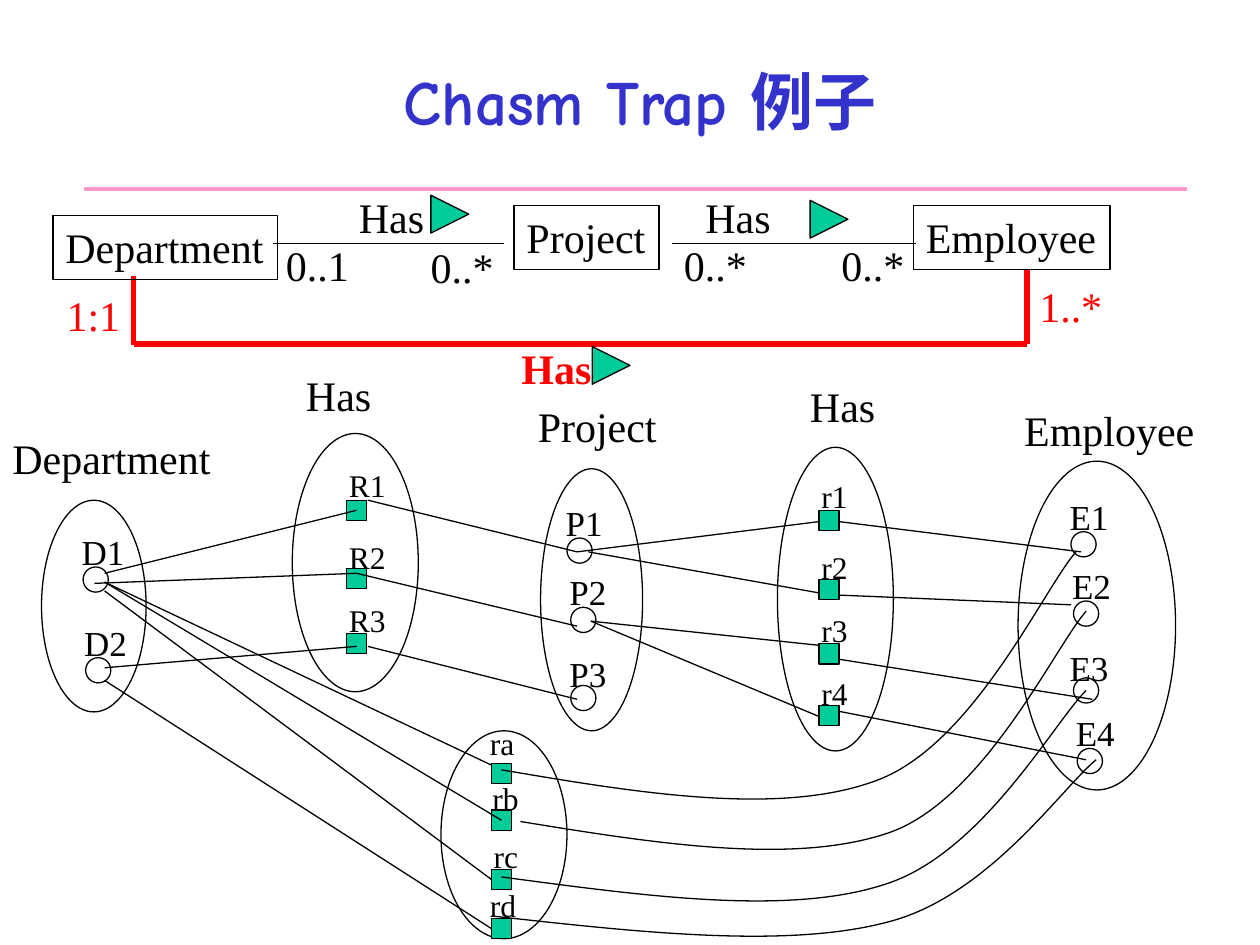
"""Builds the chasm trap example slide: an ER diagram above its occurrence diagram."""
from lxml import etree
from pptx import Presentation
from pptx.dml.color import RGBColor
from pptx.enum import shapes, text
from pptx.oxml.ns import qn
from pptx.util import Inches, Pt

BLACK = RGBColor(0, 0, 0)
RED = RGBColor(0xFF, 0, 0)
BLUE = RGBColor(0x33, 0x33, 0xCC)
PINK = RGBColor(0xFF, 0x99, 0xCC)
GREEN = RGBColor(0, 0xCC, 0x99)
SERIF = "Times New Roman"


def outline(shape, fill=None):
    shape.shadow.inherit = False
    shape.line.color.rgb = BLACK
    shape.line.width = Pt(0.75)
    if fill is None:
        shape.fill.background()
    else:
        shape.fill.solid()
        shape.fill.fore_color.rgb = fill


def write(shape, words, size, color=BLACK, bold=False):
    frame = shape.text_frame
    frame.word_wrap = False
    frame.auto_size = text.MSO_AUTO_SIZE.SHAPE_TO_FIT_TEXT
    frame.vertical_anchor = text.MSO_ANCHOR.TOP
    line = frame.paragraphs[0]
    line.text = words
    line.alignment = text.PP_ALIGN.LEFT
    line.font.name = SERIF
    line.font.size = Pt(size)
    line.font.bold = bold
    line.font.color.rgb = color


prs = Presentation()
prs.slide_width, prs.slide_height = Inches(10), Inches(7.5)
slide = prs.slides.add_slide(prs.slide_layouts[6])
canvas = slide.shapes

title = canvas.add_textbox(Inches(0.83), Inches(0.17), Inches(8.5), Inches(1.25)).text_frame
title.word_wrap = True
title.vertical_anchor = text.MSO_ANCHOR.MIDDLE
heading = title.paragraphs[0]
heading.alignment = text.PP_ALIGN.CENTER
heading.font.size = Pt(36)
heading.font.bold = True
heading.font.color.rgb = BLUE
for words, face in [("Chasm Trap ", "Comic Neue"), ("例子", "Noto Sans CJK SC")]:
    run = heading.add_run()
    run.text = words
    run.font.name = face
    etree.SubElement(run.font._element, qn("a:ea"), typeface=face)

sets = [
    (0.33, 3.97, 0.83, 1.68), (2.32, 3.44, 1, 2.05), (4.29, 3.72, 0.81, 2.08),
    (6.17, 3.55, 0.92, 2.41), (8.08, 3.66, 1.25, 2.61), (3.5, 5.8, 1, 1.65),
]
members = [
    (0.66, 4.5), (0.68, 5.22),
    (4.5, 4.27), (4.53, 4.82), (4.53, 5.44),
    (8.5, 4.22), (8.52, 4.77), (8.52, 5.38), (8.55, 5.94),
]
for left, top, width, height in sets + [(x, y, 0.2, 0.2) for x, y in members]:
    outline(canvas.add_shape(shapes.MSO_SHAPE.OVAL, Inches(left), Inches(top),
                             Inches(width), Inches(height)))

occurrence_links = [
    (0.83, 4.55, 2.83, 4.05), (0.75, 4.63, 2.83, 4.55), (0.83, 5.3, 2.83, 5.13),
    (2.92, 3.97, 4.58, 4.38), (2.83, 4.55, 4.58, 4.97), (2.92, 5.13, 4.58, 5.55),
    (4.58, 4.38, 6.58, 4.13), (4.67, 4.38, 6.58, 4.72),
    (4.69, 4.93, 6.58, 5.13), (4.69, 4.93, 6.58, 5.72),
    (6.58, 4.13, 8.58, 4.38), (6.58, 4.72, 8.5, 4.8),
    (6.58, 5.22, 8.67, 5.55), (6.58, 5.63, 8.62, 6.03),
    (0.83, 4.62, 3.98, 6.11), (0.83, 4.69, 3.9, 6.98), (0.83, 5.4, 3.9, 7.37),
]
entity_links = [(2.17, 1.93, 4, 1.93), (5.33, 1.93, 7.27, 1.93)]
missing_link = [(1.06, 2.19, 1.06, 2.74), (1.06, 2.73, 8.15, 2.73), (8.15, 2.73, 8.15, 2.14)]
first_squares = [(2.75, y) for y in (3.97, 4.51, 5.03)]
later_squares = ([(6.5, y) for y in (4.05, 4.6, 5.11, 5.6)]
                 + [(3.9, y) for y in (6.06, 6.43, 6.9, 7.29)])
layers = [
    ([], [(0.67, 1.5, 9.42, 1.5)], PINK, 2),
    (first_squares, occurrence_links + entity_links, BLACK, 0.75),
    ([], missing_link, RED, 3),
    (later_squares, [(0.83, 4.62, 3.98, 6.51)], BLACK, 0.75),
]
for squares, links, color, weight in layers:
    for left, top in squares:
        outline(canvas.add_shape(shapes.MSO_SHAPE.RECTANGLE, Inches(left), Inches(top),
                                 Inches(0.16), Inches(0.16)), GREEN)
    for ends in links:
        link = canvas.add_connector(shapes.MSO_CONNECTOR.STRAIGHT, *map(Inches, ends))
        link.line.color.rgb = color
        link.line.width = Pt(weight)
        etree.SubElement(link._element.spPr, qn("a:effectLst"))

curves = [
    [(3.98, 6.11), (5.09, 6.3), (6.21, 6.48), (6.97, 6.19), (7.73, 5.9), (8.28, 4.68), (8.54, 4.38)],
    [(4.13, 6.52), (5.23, 6.7), (6.33, 6.87), (7.08, 6.6), (7.82, 6.32), (8.37, 5.14), (8.62, 4.85)],
    [(3.98, 6.96), (5.11, 7.11), (6.25, 7.27), (7.02, 7.02), (7.79, 6.78), (8.36, 5.74), (8.62, 5.48)],
    [(3.9, 7.27), (5.07, 7.4), (6.24, 7.53), (7.04, 7.32), (7.84, 7.12), (8.43, 6.25), (8.7, 6.03)],
]
for points in curves:
    start, *rest = [(Inches(x), Inches(y)) for x, y in points]
    builder = canvas.build_freeform(*start)
    builder.add_line_segments(rest, close=False)
    curve = builder.convert_to_shape()
    outline(curve)
    route = curve._element.find(".//" + qn("a:path"))
    steps = route.findall(qn("a:lnTo"))
    for first in (0, 3):
        bend = etree.SubElement(route, qn("a:cubicBezTo"))
        for step in steps[first:first + 3]:
            bend.append(step[0])
            route.remove(step)

for left, top in [(3.42, 1.55), (6.43, 1.59), (4.7, 2.75)]:
    builder = canvas.build_freeform(Inches(left), Inches(top))
    builder.add_line_segments([(Inches(left + 0.3), Inches(top + 0.15)),
                               (Inches(left), Inches(top + 0.3))])
    outline(builder.convert_to_shape(), GREEN)

entities = [("Department", 0.42, 1.71, 1.78), ("Project", 4.08, 1.63, 1.15),
            ("Employee", 7.25, 1.63, 1.56)]
for words, left, top, width in entities:
    entity = canvas.add_shape(shapes.MSO_SHAPE.RECTANGLE, Inches(left), Inches(top),
                              Inches(width), Inches(0.51))
    outline(entity)
    write(entity, words, 24)

labels = {
    (24, 0.5, BLACK, False): [
        ("Has", 2.75, 1.47, 0.72), ("Has", 5.5, 1.47, 0.72),
        ("0..1", 2.17, 1.85, 0.7), ("0..*", 3.32, 1.87, 0.7),
        ("0..*", 5.33, 1.85, 0.7), ("0..*", 6.58, 1.85, 0.7),
        ("Department", 0, 3.38, 1.77), ("Has", 2.33, 2.88, 0.72),
        ("Project", 4.17, 3.13, 1.17), ("Has", 6.33, 2.97, 0.72),
        ("Employee", 8.03, 3.16, 1.55),
    ],
    (24, 0.5, RED, False): [("1:1", 0.43, 2.25, 0.63), ("1..*", 8.15, 2.18, 0.7)],
    (24, 0.5, RED, True): [("Has", 4.04, 2.67, 0.76)],
    (20, 0.43, BLACK, False): [
        ("D1", 0.55, 4.16, 0.54), ("D2", 0.57, 4.88, 0.54),
        ("P1", 4.39, 3.93, 0.52), ("P2", 4.42, 4.48, 0.52), ("P3", 4.42, 5.13, 0.52),
        ("E1", 8.39, 3.88, 0.51), ("E2", 8.41, 4.43, 0.51),
        ("E3", 8.39, 5.08, 0.51), ("E4", 8.44, 5.6, 0.51),
    ],
    (18, 0.4, BLACK, False): [
        ("R1", 2.67, 3.65, 0.49), ("R2", 2.67, 4.22, 0.49), ("R3", 2.67, 4.72, 0.49),
        ("r1", 6.42, 3.74, 0.41), ("r2", 6.42, 4.3, 0.41),
        ("r3", 6.42, 4.8, 0.41), ("r4", 6.42, 5.3, 0.41),
        ("ra", 3.79, 5.7, 0.4), ("rb", 3.81, 6.13, 0.41),
        ("rc", 3.82, 6.59, 0.4), ("rd", 3.79, 6.98, 0.41),
    ],
}
for (size, height, color, bold), places in labels.items():
    for words, left, top, width in places:
        label = canvas.add_textbox(Inches(left), Inches(top), Inches(width), Inches(height))
        write(label, words, size, color, bold)

prs.save("out.pptx")
